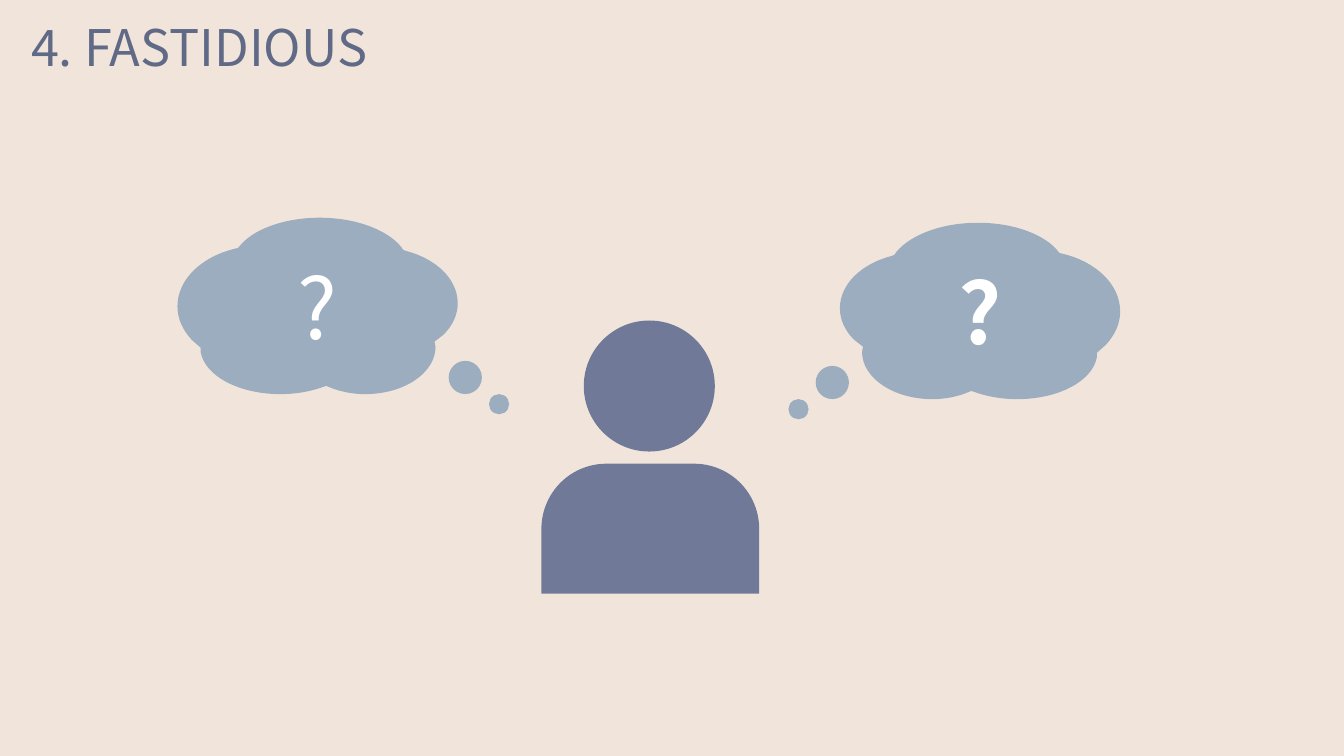
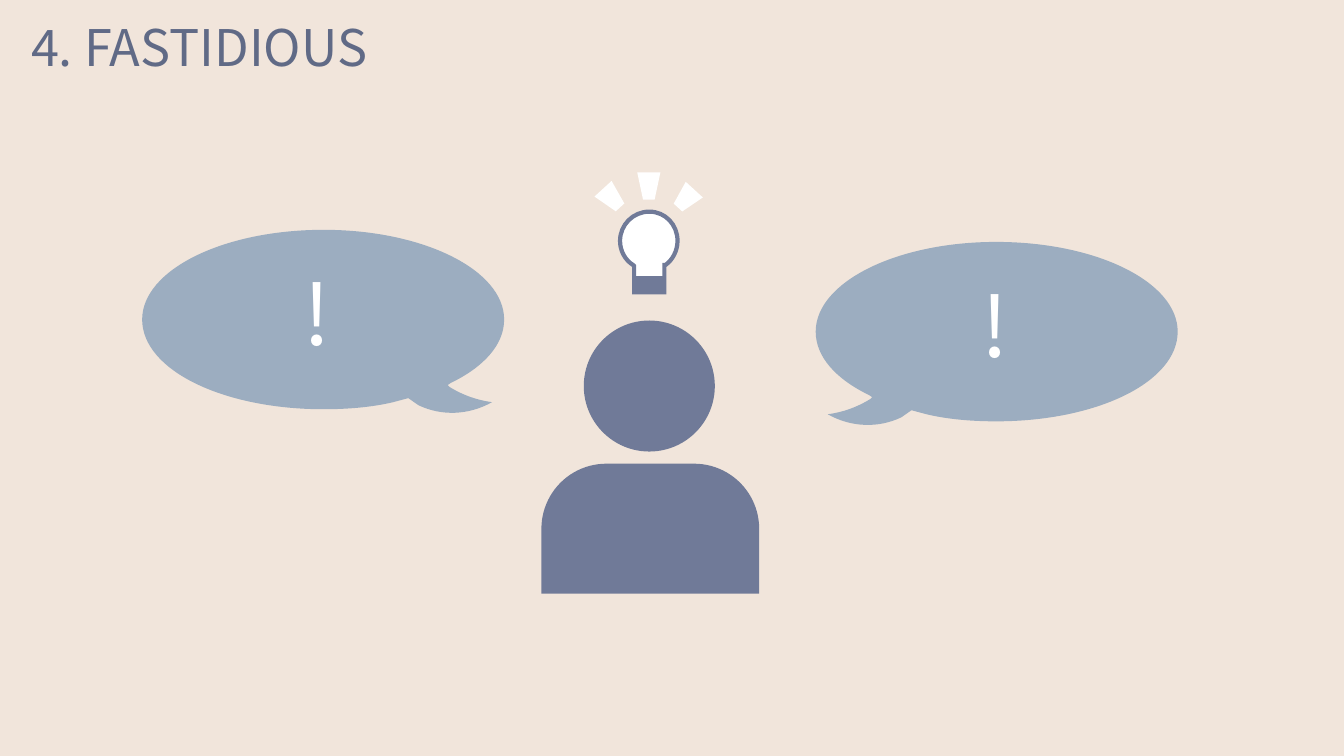
from lxml import etree
from pptx import Presentation
from pptx.dml.color import RGBColor
from pptx.enum.shapes import MSO_SHAPE
from pptx.enum.text import MSO_ANCHOR, MSO_AUTO_SIZE, PP_ALIGN
from pptx.oxml.ns import qn
from pptx.util import Inches, Pt

OVAL = MSO_SHAPE.OVAL
RECT = MSO_SHAPE.RECTANGLE
TORSO = MSO_SHAPE.ROUND_2_SAME_RECTANGLE
TRAPEZOID = MSO_SHAPE.TRAPEZOID
MIDDLE = MSO_ANCHOR.MIDDLE
CENTER = PP_ALIGN.CENTER
GROW = MSO_AUTO_SIZE.SHAPE_TO_FIT_TEXT

FONT = "Noto Sans CJK KR"
COLORS = {
    "sand": "F1E5DB",
    "person": "707A98",
    "bubble": "9CADC0",
    "title": "606A86",
    "white": "FFFFFF",
}
SLIDE_W, SLIDE_H = 13.33, 7.5
THOUGHT_W = 3.29
SPEECH_W = 3.59

CLOUD = [
    (1.88, 0), (2.24, 0, 2.55, 0.12, 2.68, 0.29), (2.69, 0.3), (2.73, 0.31),
    (3.05, 0.39, 3.29, 0.61, 3.29, 0.88), (3.29, 1, 3.24, 1.11, 3.15, 1.21),
    (3.06, 1.29), (3.06, 1.33), (3.02, 1.57, 2.68, 1.75, 2.27, 1.75),
    (2.1, 1.75, 1.95, 1.72, 1.82, 1.67), (1.82, 1.67), (1.81, 1.67),
    (1.7, 1.72, 1.57, 1.75, 1.43, 1.75), (1.04, 1.75, 0.73, 1.54, 0.73, 1.28),
    (0.74, 1.23), (0.65, 1.16), (0.56, 1.07, 0.51, 0.96, 0.51, 0.85),
    (0.51, 0.61, 0.72, 0.41, 1.02, 0.33), (1.05, 0.32), (1.07, 0.29),
    (1.21, 0.12, 1.52, 0, 1.88, 0),
]
SPEECH = [
    (1.79, 0), (2.79, 0, 3.59, 0.4, 3.59, 0.89),
    (3.59, 1.39, 2.79, 1.78, 1.79, 1.78), (1.55, 1.78, 1.31, 1.76, 1.1, 1.71),
    (0.95, 1.67), (0.85, 1.74), (0.62, 1.85, 0.35, 1.84, 0.12, 1.71),
    (0.27, 1.69, 0.41, 1.64, 0.54, 1.56), (0.56, 1.54), (0.53, 1.52),
    (0.2, 1.36, 0, 1.14, 0, 0.89), (0, 0.4, 0.8, 0, 1.79, 0),
]
BULB = [
    (0.29, 0), (0.45, 0, 0.57, 0.13, 0.57, 0.29),
    (0.57, 0.39, 0.52, 0.48, 0.45, 0.53), (0.44, 0.53), (0.44, 0.8),
    (0.14, 0.8), (0.14, 0.54), (0.13, 0.53),
    (0.05, 0.48, 0, 0.39, 0, 0.29), (0, 0.13, 0.13, 0, 0.29, 0),
]
RAYS = [(-0.2, 0.13, 0.25, 137.6), (0.17, 0, 0.27, 180), (0.54, 0.14, 0.24, 222.4)]


def rgb(name):
    return RGBColor.from_string(COLORS[name])


def paint(sp, color):
    sp.shadow.inherit = False
    sp.fill.solid()
    sp.fill.fore_color.rgb = rgb(color)
    sp.line.fill.background()
    return sp


def add_preset(s, kind, x, y, w, h, color):
    sp = s.shapes.add_shape(kind, Inches(x), Inches(y), Inches(w), Inches(h))
    return paint(sp, color)


def add_outline(s, outline, x, y, color, mirror_w=None):
    points = [
        (Inches(x + (px if mirror_w is None else mirror_w - px)), Inches(y + py))
        for segment in outline
        for px, py in zip(segment[::2], segment[1::2])
    ]
    builder = s.shapes.build_freeform(*points[0], scale=1.0)
    builder.add_line_segments(points[1:], close=True)
    sp = builder.convert_to_shape()
    steps = iter(list(sp._element.iter(qn("a:lnTo"))))
    for segment in outline[1:]:
        step = next(steps)
        if len(segment) == 6:
            curve = etree.Element(qn("a:cubicBezTo"))
            step.addprevious(curve)
            for part in (step, next(steps), next(steps)):
                curve.append(part[0])
                part.getparent().remove(part)
    return paint(sp, color)


def add_run(p, text, size, color, bold=None):
    r = p.add_run()
    r.text = text
    r.font.name = FONT
    r.font.size = Pt(size)
    r.font.bold = bold
    r.font.color.rgb = rgb(color)


def add_text(s, text, x, y, w, h, size, color):
    tf = s.shapes.add_textbox(Inches(x), Inches(y), Inches(w), Inches(h)).text_frame
    tf.word_wrap = True
    tf.auto_size = GROW
    add_run(tf.paragraphs[0], text, size, color)


def add_person(s, x, y):
    group = s.shapes.add_group_shape()
    add_preset(group, OVAL, x + 0.42, y, 1.3, 1.3, "person")
    sp = add_preset(group, TORSO, x, y + 1.42, 2.16, 1.29, "person")
    sp.adjustments[0] = 0.5
    sp.adjustments[1] = 0


def add_thought(s, x, y, mirrored=False, bold=None):
    group = s.shapes.add_group_shape()
    sp = add_outline(group, CLOUD, x, y, "bubble", THOUGHT_W if mirrored else None)
    tf = sp.text_frame
    tf.vertical_anchor = MIDDLE
    p = tf.paragraphs[0]
    p.alignment = CENTER
    add_run(p, "?", 60, "white", bold)
    for dx, dy, size in ((0.27, 1.42, 0.33), (0, 1.75, 0.2)):
        left = THOUGHT_W - dx - size if mirrored else dx
        add_preset(group, OVAL, x + left, y + dy, size, size, "bubble")


def add_speech(s, x, y, mark_dx, mirrored=False):
    group = s.shapes.add_group_shape()
    add_outline(group, SPEECH, x, y, "bubble", SPEECH_W if mirrored else None)
    add_text(group, "!", x + mark_dx, y + 0.26, 0.77, 1.11, 60, "white")


def add_idea(s, x, y):
    group = s.shapes.add_group_shape()
    bulb = add_outline(group, BULB, x, y + 0.39, "white")
    bulb.line.color.rgb = rgb("person")
    bulb.line.width = Pt(3)
    etree.SubElement(bulb.line._get_or_add_ln(), qn("a:miter"), lim="800000")
    add_preset(group, RECT, x + 0.14, y + 1.03, 0.3, 0.16, "person")
    for dx, dy, h, angle in RAYS:
        add_preset(s, TRAPEZOID, x + dx, y + dy, 0.23, h, "white").rotation = angle


def add_base_slide(prs):
    s = prs.slides.add_slide(prs.slide_layouts[6])
    add_person(s, 5.37, 3.18)
    return s


def add_title(s):
    add_text(s, "4. FASTIDIOUS", 0.21, 0.11, 4, 0.71, 36, "title")


def add_question_slide(prs):
    s = add_base_slide(prs)
    add_thought(s, 7.82, 2.21, bold=True)
    add_thought(s, 1.76, 2.16, mirrored=True)
    add_title(s)
    return s


def add_answer_slide(prs):
    s = add_base_slide(prs)
    add_speech(s, 8.09, 2.4, 1.55)
    add_speech(s, 1.41, 2.28, 1.5, mirrored=True)
    add_idea(s, 6.15, 1.71)
    add_title(s)


def set_master_backdrop(prs, s):
    backdrop = add_preset(s, RECT, 0, 0, SLIDE_W, SLIDE_H, "sand")
    prs.slide_master.shapes._spTree.insert(2, backdrop._element)


def main():
    prs = Presentation()
    prs.slide_width = Inches(SLIDE_W)
    prs.slide_height = Inches(SLIDE_H)
    s = add_question_slide(prs)
    set_master_backdrop(prs, s)
    add_answer_slide(prs)
    prs.save("out.pptx")


if __name__ == "__main__":
    main()
